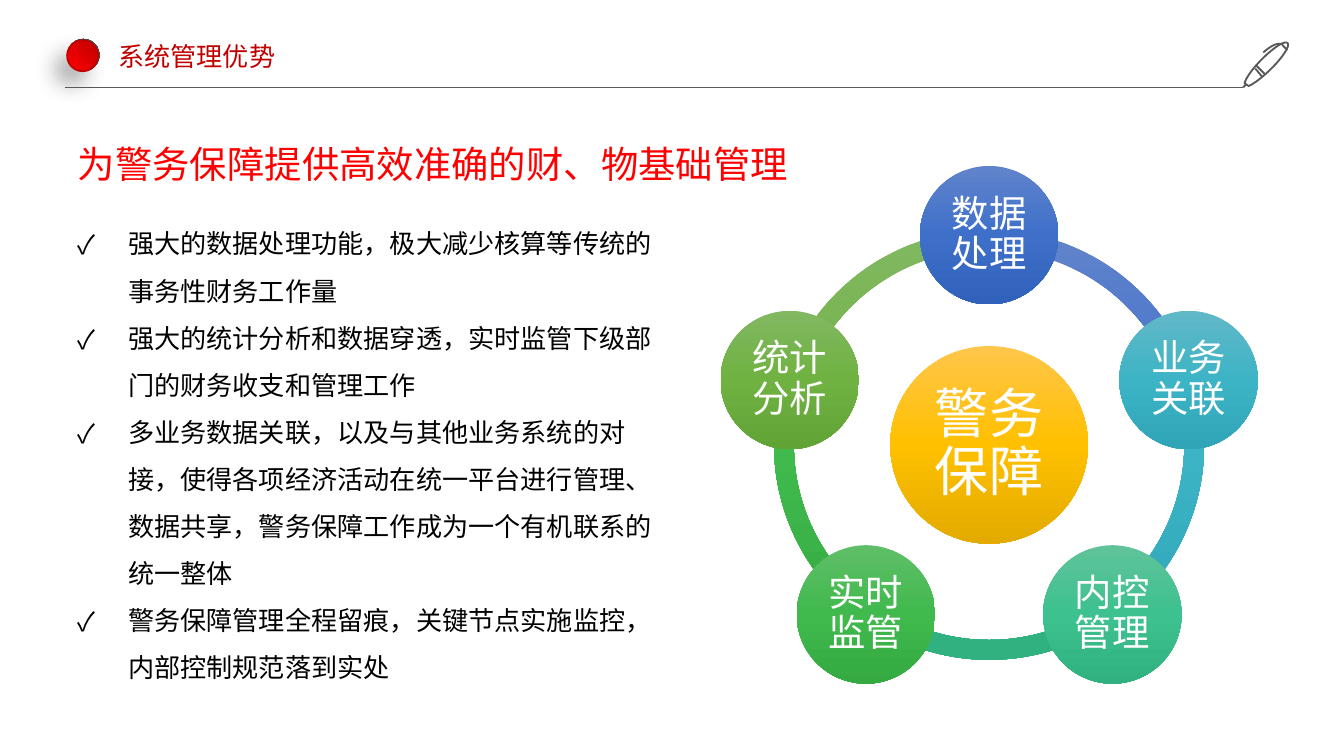
import math

import pptx
import pptx.util
import pptx.oxml
import pptx.oxml.ns
import pptx.dml.color
import pptx.enum.shapes
import pptx.enum.text
from lxml import etree

Inches = pptx.util.Inches
Pt = pptx.util.Pt
SHAPE = pptx.enum.shapes.MSO_SHAPE
ANCHOR = pptx.enum.text.MSO_ANCHOR
ALIGN = pptx.enum.text.PP_ALIGN
FONT = "Noto Sans CJK SC"
NS = pptx.oxml.ns.nsdecls("a")
LINEAR = '<a:lin ang="5400000" scaled="0"/>'
RADIAL = '<a:path path="circle"><a:fillToRect l="100000" b="100000"/></a:path>'

BLUE = ("6183CB", "3E70CA", "3062BB")
TEAL = ("61B8C7", "3DB4C6", "30A5B7")
MINT = ("60C39A", "3DC18F", "31B080")
GREEN = ("60BE68", "40B94D", "34AA41")
OLIVE = ("81B861", "6FB242", "62A336")
GOLD = ("FFC64B", "FFC000", "E3AB00")
NODES = [("数据处理", BLUE), ("业务关联", TEAL), ("内控管理", MINT),
         ("实时监管", GREEN), ("统计分析", OLIVE)]
POINTS = [
    "强大的数据处理功能，极大减少核算等传统的事务性财务工作量",
    "强大的统计分析和数据穿透，实时监管下级部门的财务收支和管理工作",
    "多业务数据关联，以及与其他业务系统的对接，使得各项经济活动在统一平台进行管理、"
    "数据共享，警务保障工作成为一个有机联系的统一整体",
    "警务保障管理全程留痕，关键节点实施监控，内部控制规范落到实处",
]
PEN = [
    [(0.14, 0.27), (0.09, 0.21)],
    [(0.10, 0.19), (0.16, 0.25)],
    [(0.33, 0.02), (0.31, 0), (0.23, 0.05), (0.14, 0.14), (0.07, 0.21),
     (0.02, 0.28), (0.01, 0.32), (0.01, 0.32), (0.04, 0.34), (0.04, 0.34),
     (0.07, 0.33), (0.14, 0.28), (0.21, 0.21), (0.30, 0.12), (0.35, 0.04),
     (0.33, 0.02)],
    [(0.02, 0.33), (0, 0.35)],
    [(0.33, 0.07), (0.33, 0.07), (0.30, 0.05), (0.29, 0.03), (0.29, 0.03),
     (0.25, 0), (0.15, 0.09)],
]


def color(value):
    """Return the colour of a hex string."""
    return pptx.dml.color.RGBColor.from_string(value)


def write(tf, text, size=14, hue="000000", align=None, spacing=None, bullet=None,
          inset=(0.1, 0.05), anchor=ANCHOR.TOP, wrap=True):
    """Fill a text frame, with one paragraph for each line of text."""
    tf.word_wrap, tf.vertical_anchor = wrap, anchor
    tf.margin_left = tf.margin_right = Inches(inset[0])
    tf.margin_top = tf.margin_bottom = Inches(inset[1])
    tf.text = text
    for p in tf.paragraphs:
        p.alignment, p.line_spacing = align, spacing
        for r in p.runs:
            r.font.size, r.font.name = Pt(size), FONT
            r.font.color.rgb = color(hue)
            ea = etree.SubElement(r.font._element, pptx.oxml.ns.qn("a:ea"))
            ea.set("typeface", FONT)
        if bullet:
            pPr = p._p.get_or_add_pPr()
            pPr.set("marL", str(Pt(27)))
            pPr.set("indent", str(-Pt(27)))
            pPr.set("hangingPunct", "0")
            etree.SubElement(pPr, pptx.oxml.ns.qn("a:buFont")).set("typeface", FONT)
            etree.SubElement(pPr, pptx.oxml.ns.qn("a:buChar")).set("char", bullet)


def textbox(s, x, y, w, h, text, **fmt):
    """Add a text box."""
    write(s.shapes.add_textbox(*map(Inches, (x, y, w, h))).text_frame, text, **fmt)


def gradient_shape(s, kind, x, y, w, h, hues, direction=LINEAR):
    """Add a borderless preset shape with evenly spaced gradient stops."""
    sp = s.shapes.add_shape(kind, *map(Inches, (x, y, w, h)))
    sp.shadow.inherit = False
    sp.line.fill.background()
    stops = "".join(
        f'<a:gs pos="{100000 * i // (len(hues) - 1)}"><a:srgbClr val="{hue}"/></a:gs>'
        for i, hue in enumerate(hues))
    sp._element.spPr.find(pptx.oxml.ns.qn("a:prstGeom")).addnext(pptx.oxml.parse_xml(
        f'<a:gradFill {NS} rotWithShape="1"><a:gsLst>{stops}</a:gsLst>{direction}</a:gradFill>'))
    return sp


def bezier(points, steps=8):
    """Sample a chain of cubic curves."""
    result = []
    for i in range(0, len(points) - 3, 3):
        for k in range(1, steps + 1):
            t = k / steps
            weights = ((1 - t) ** 3, 3 * t * (1 - t) ** 2, 3 * t * t * (1 - t), t ** 3)
            result.append(tuple(sum(w * pt[axis] for w, pt in zip(weights, points[i:i + 4]))
                                for axis in (0, 1)))
    return result


def pen(s, x, y):
    """Draw the outlined pen from its top left corner."""
    def place(pt):
        return Inches(x + pt[0]), Inches(y + pt[1])

    fb = s.shapes.build_freeform(*place(PEN[0][0]))
    for i, stroke in enumerate(PEN):
        if i:
            fb.move_to(*place(stroke[0]))
        pts = bezier(stroke) if len(stroke) > 2 else stroke[1:]
        fb.add_line_segments([place(pt) for pt in pts], close=False)
    sp = fb.convert_to_shape()
    sp.shadow.inherit = False
    sp.fill.background()
    sp.line.color.rgb, sp.line.width = color("595959"), Pt(1)


def header(s, x, y, w, title):
    """Place the red dot, title, rule and pen."""
    dot = gradient_shape(s, SHAPE.OVAL, x + 0.02, y, 0.24, 0.24, ("595959", "262626"), RADIAL)
    effects = dot._element.spPr.find(pptx.oxml.ns.qn("a:effectLst"))
    effects.append(pptx.oxml.parse_xml(
        f'<a:outerShdw {NS} blurRad="{Pt(12)}" dist="{Pt(10)}" dir="{130 * 60000}">'
        '<a:srgbClr val="000000"><a:alpha val="32000"/></a:srgbClr></a:outerShdw>'))
    dot = gradient_shape(s, SHAPE.OVAL, x + 0.02, y + 0.01, 0.23, 0.23,
                         ("C00000", "FF0000"), RADIAL)
    dot.line.color.rgb, dot.line.width = color("C00000"), Pt(1)
    rule = s.shapes.add_connector(pptx.enum.shapes.MSO_CONNECTOR.STRAIGHT,
                                  *map(Inches, (x, y + 0.36, x + w, y + 0.36)))
    rule.line.color.rgb, rule.line.width = color("595959"), Pt(0.5)
    etree.SubElement(rule._element.spPr, pptx.oxml.ns.qn("a:effectLst"))
    pen(s, x + w, y + 0.01)
    sp = s.shapes.title
    sp.left, sp.top, sp.width, sp.height = map(Inches, (x + 0.33, y - 0.03, 1.33, 0.31))
    write(sp.text_frame, title, hue="C00000", align=ALIGN.LEFT, inset=(0.07, 0.04), wrap=False)


def ring(s, x, y, size):
    """Place the arcs, the centre and the five nodes in a square box."""
    cx, cy, step = x + size / 2, y + size / 2, 360 / len(NODES)

    def disc(dx, dy, d, text, hues, font_size, inset):
        sp = gradient_shape(s, SHAPE.OVAL, cx + dx - d / 2, cy + dy - d / 2, d, d, hues)
        write(sp.text_frame, text, size=font_size, hue="FFFFFF", align=ALIGN.CENTER,
              spacing=0.9, inset=(inset, inset), anchor=ANCHOR.MIDDLE)

    for i, (_, hues) in reversed(list(enumerate(NODES))):
        start = 270 + i * step
        arc = gradient_shape(s, SHAPE.BLOCK_ARC, x, y, size, size, hues)
        for k, value in enumerate((start % 360 * 0.6, (start + step) % 360 * 0.6, 0.046)):
            arc.adjustments[k] = value
    disc(0, 0, 1.47, "警务\v保障", GOLD, 29, 0.04)
    for i, (text, hues) in enumerate(NODES):
        angle = math.radians(270 + i * step)
        disc(1.56 * math.cos(angle), 1.56 * math.sin(angle), 1.03, text, hues, 20, 0.03)


def build():
    """Build and save the slide."""
    prs = pptx.Presentation()
    prs.slide_width, prs.slide_height = Inches(10), Inches(10) * 9 // 16
    s = prs.slides.add_slide(prs.slide_layouts[5])
    header(s, 0.48, 0.29, 8.77, "系统管理优势")
    textbox(s, 0.48, 1.53, 4.63, 3.64, "\n".join(POINTS), spacing=1.5, bullet="✓")
    ring(s, 5.76, 1.71, 3.2)
    textbox(s, 0.48, 1, 5.53, 0.44, "为警务保障提供高效准确的财、物基础管理",
            size=20, hue="FF0000", wrap=False)
    prs.save("out.pptx")


build()
